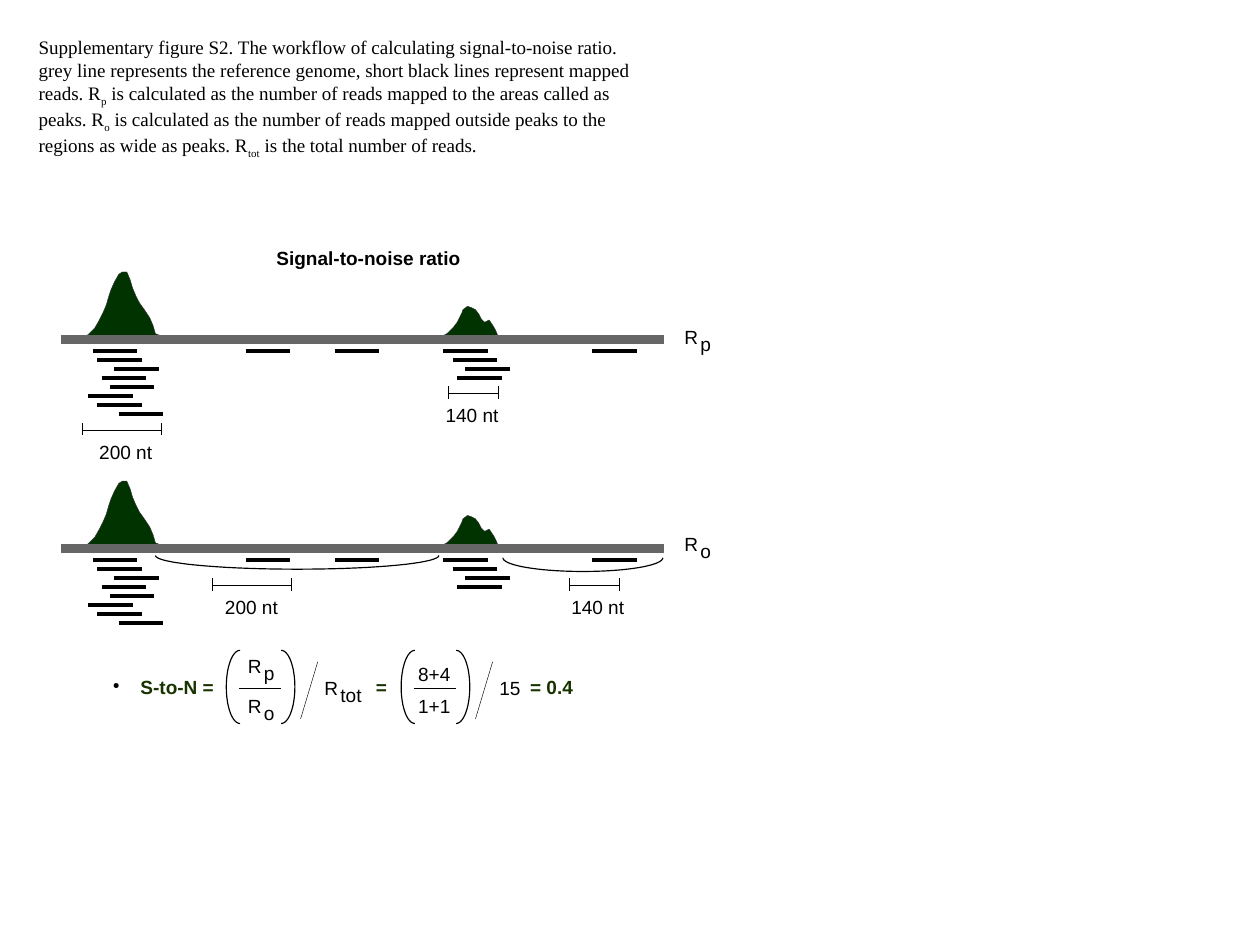
import math
from dataclasses import dataclass

import lxml.etree
import pptx
import pptx.dml.color
import pptx.enum.shapes
import pptx.oxml.ns
import pptx.util

EMU_PER_PX = 9144  # 100 px to the inch


@dataclass(frozen=True)
class Theme:
    ink: str = "000000"
    genome: str = "666666"
    peak: str = "003300"
    peak_edge: str = "333333"
    formula: str = "193300"
    sans: str = "Arial"
    serif: str = "Times New Roman"
    text_size: int = 12
    genome_weight: float = 5.67
    read_weight: float = 2.83
    hairline: float = 0.28
    curve_weight: float = 0.75


THEME = Theme()

CAPTION = [
    [("Supplementary figure S2. The workflow of calculating signal-to-noise ratio.", False)],
    [("grey line represents the reference genome, short black lines represent mapped", False)],
    [("reads. R", False), ("p", True),
     (" is calculated as the number of reads mapped to the areas called as", False)],
    [("peaks. R", False), ("o", True),
     (" is calculated as the number of reads mapped outside peaks to the", False)],
    [("regions as wide as peaks. R", False), ("tot", True),
     (" is the total number of reads.", False)],
]

# Peak profiles: x position and height above the genome line
TALL_PEAK = [(70, 0), (77, 2), (83, 8), (87, 15), (90, 21), (93, 28), (95, 35), (97, 41),
             (100, 48), (104, 55), (107, 57), (111, 57), (114, 50), (116, 43), (119, 36),
             (122, 30), (127, 23), (131, 17), (134, 10), (136, 3), (144, 0)]
SMALL_PEAK = [(384, 0), (387, 1), (391, 3), (394, 6), (397, 9), (400, 13), (402, 17),
              (404, 21), (405, 24), (409, 27), (412, 26), (416, 24), (419, 20), (421, 16),
              (424, 13), (428, 15), (430, 12), (432, 9), (434, 5), (436, 0)]

# Left end of every read, one list for each stack, top row first
READ_STACKS = [[81, 85, 100, 89, 96, 77, 85, 104], [388, 396, 407, 400],
               [215], [293], [518]]
READ_LENGTH = 39
READ_STEP = 7.86


def px(length):
    return pptx.util.Emu(round(length * EMU_PER_PX))


def rgb(color):
    return pptx.dml.color.RGBColor.from_string(color)


def add_run(paragraph, text, font=THEME.sans, color=THEME.ink, bold=False, subscript=False):
    run = paragraph.add_run()
    run.text = text
    run.font.name = font
    run.font.size = pptx.util.Pt(THEME.text_size)
    run.font.bold = bold
    run.font.color.rgb = rgb(color)
    if subscript:
        run._r.get_or_add_rPr().set("baseline", "-26000")


def add_frame(slide, x, y, width, height=29):
    frame = slide.shapes.add_textbox(px(x), px(y), px(width), px(height)).text_frame
    frame.word_wrap = True
    return frame


def add_label(slide, x, y, width, text, **style):
    paragraph = add_frame(slide, x, y, width).paragraphs[0]
    add_run(paragraph, text, **style)
    return paragraph


def add_variable(slide, x, y, subscript):
    add_label(slide, x, y, 65, "R")
    add_label(slide, x + 14, y + 6, 45, subscript)


def add_bullet(paragraph, indent):
    properties = paragraph._p.get_or_add_pPr()
    properties.set("marL", str(px(indent)))
    properties.set("indent", str(px(-indent)))
    qn = pptx.oxml.ns.qn
    bullet_color = lxml.etree.SubElement(properties, qn("a:buClr"))
    lxml.etree.SubElement(bullet_color, qn("a:srgbClr"), val=THEME.ink)
    lxml.etree.SubElement(properties, qn("a:buSzPct"), val="45000")
    lxml.etree.SubElement(properties, qn("a:buChar"), char="●")


def add_line(slide, x1, y1, x2, y2, weight, color=THEME.ink):
    line = slide.shapes.add_connector(
        pptx.enum.shapes.MSO_CONNECTOR.STRAIGHT, px(x1), px(y1), px(x2), px(y2))
    line.line.color.rgb = rgb(color)
    line.line.width = pptx.util.Pt(weight)
    lxml.etree.SubElement(line._element.spPr, pptx.oxml.ns.qn("a:effectLst"))


def add_outline(slide, points, weight, color, fill=None):
    corners = [(px(x), px(y)) for x, y in points]
    builder = slide.shapes.build_freeform(*corners[0])
    builder.add_line_segments(corners[1:], close=fill is not None)
    outline = builder.convert_to_shape()
    outline.shadow.inherit = False
    outline.line.color.rgb = rgb(color)
    outline.line.width = pptx.util.Pt(weight)
    if fill:
        outline.fill.solid()
        outline.fill.fore_color.rgb = rgb(fill)
    else:
        outline.fill.background()


def add_half_ellipse(slide, center_x, center_y, radius_x, radius_y, start):
    """Draw 180 degrees clockwise from the start angle."""
    angles = [math.radians(start + step) for step in range(0, 181, 5)]
    points = [(center_x + radius_x * math.cos(a), center_y + radius_y * math.sin(a))
              for a in angles]
    add_outline(slide, points, THEME.curve_weight, THEME.ink)


def add_scale_bar(slide, x, y, width, label_x, text):
    add_line(slide, x, y, x + width, y, THEME.hairline)
    for end in (x, x + width):
        add_line(slide, end, y - 6, end, y + 5, THEME.hairline)
    add_label(slide, label_x, y + 4, 76, text)


def add_track(slide, genome_y, label_y, subscript):
    for profile in (SMALL_PEAK, TALL_PEAK):
        points = [(x, genome_y - 2 - height) for x, height in profile]
        add_outline(slide, points, THEME.hairline, THEME.peak_edge, THEME.peak)
    add_line(slide, 53, genome_y, 581, genome_y, THEME.genome_weight, THEME.genome)
    for stack in READ_STACKS:
        for row, x in enumerate(stack):
            y = genome_y + 10 + row * READ_STEP
            add_line(slide, x, y, x + READ_LENGTH, y, THEME.read_weight)
    add_variable(slide, 589, label_y, subscript)


def add_fraction(slide, x):
    """Draw the brackets, fraction bar and division slash."""
    add_half_ellipse(slide, x + 12, 601, 12, 32, 90)
    add_half_ellipse(slide, x + 48, 601, 12, 32, -90)
    add_line(slide, x + 11, 602, x + 48, 602, THEME.hairline)
    add_line(slide, x + 65, 629, x + 80, 579, THEME.hairline)


def add_formula(slide):
    bold = {"color": THEME.formula, "bold": True}
    add_bullet(add_label(slide, 89, 586, 120, "S-to-N =", **bold), 24)
    add_label(slide, 319, 586, 40, "=", **bold)
    add_label(slide, 454, 586, 70, "= 0.4", **bold)
    for x in (198, 351):
        add_fraction(slide, x)
    add_variable(slide, 207, 568, "p")
    add_variable(slide, 207, 603, "o")
    add_variable(slide, 274, 587, "tot")
    add_label(slide, 356, 575, 65, "8+4")
    add_label(slide, 356, 603, 65, "1+1")
    add_label(slide, 427, 587, 65, "15")


def add_caption(slide):
    frame = add_frame(slide, 24, 26, 560, 111)
    for number, line in enumerate(CAPTION):
        paragraph = frame.add_paragraph() if number else frame.paragraphs[0]
        for text, subscript in line:
            add_run(paragraph, text, font=THEME.serif, subscript=subscript)


def main():
    presentation = pptx.Presentation()
    presentation.slide_width = pptx.util.Cm(28)
    presentation.slide_height = pptx.util.Cm(21)
    slide = presentation.slides.add_slide(presentation.slide_layouts[6])

    # Caption and title
    add_caption(slide)
    add_label(slide, 232, 211, 200, "Signal-to-noise ratio", bold=True)

    # Reads inside peaks
    add_track(slide, 297, 280, "p")
    add_scale_bar(slide, 72, 376, 69, 77, "200 nt")
    add_scale_bar(slide, 392, 344, 44, 380, "140 nt")

    # Reads outside peaks
    add_track(slide, 480, 461, "o")
    add_half_ellipse(slide, 260, 486, 124, 12, 0)
    add_half_ellipse(slide, 510, 488, 70, 12, 0)
    add_scale_bar(slide, 186, 512, 69, 187, "200 nt")
    add_scale_bar(slide, 498, 512, 44, 490, "140 nt")

    # Ratio formula
    add_formula(slide)
    presentation.save("out.pptx")


if __name__ == "__main__":
    main()
